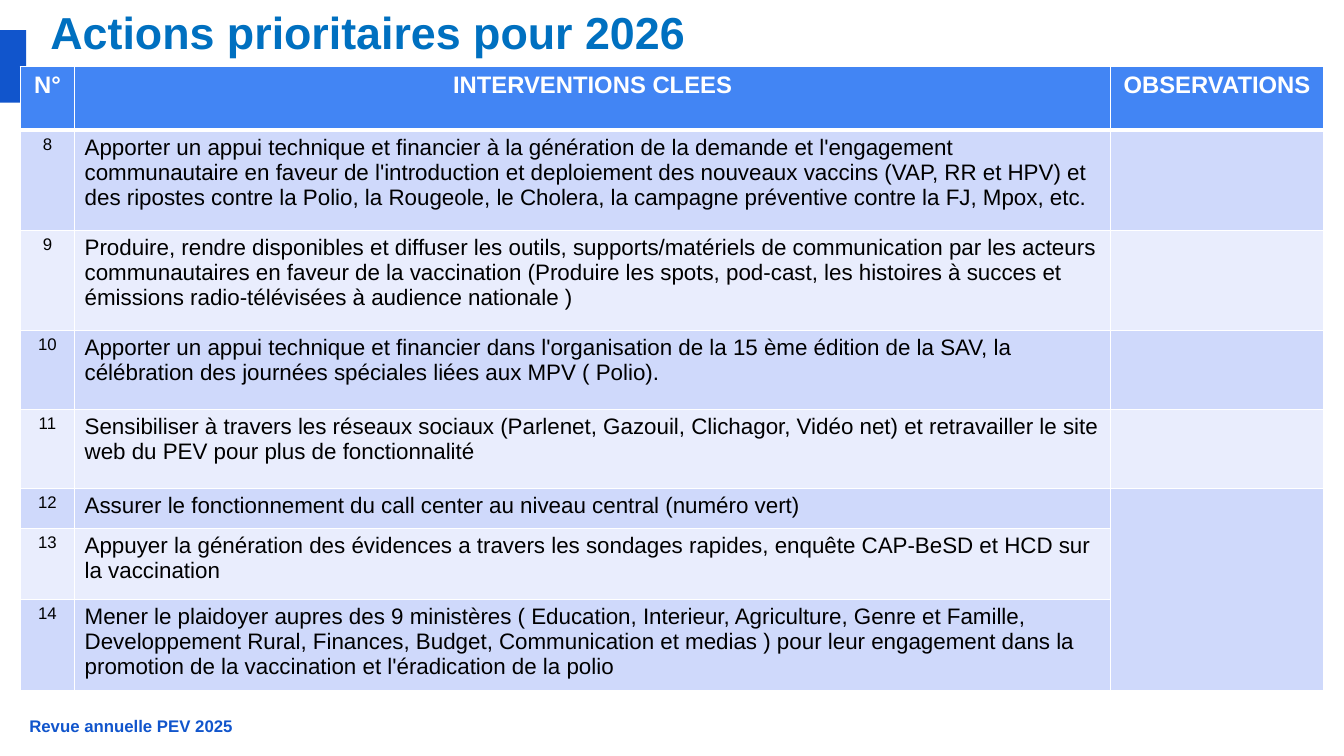
"""Build the slide listing the priority actions for 2026."""
from dataclasses import dataclass

from lxml.etree import SubElement
from pptx import Presentation
from pptx.dml.color import RGBColor
from pptx.enum.shapes import MSO_SHAPE
from pptx.enum.text import MSO_ANCHOR, MSO_AUTO_SIZE, PP_ALIGN
from pptx.oxml.ns import qn
from pptx.util import Cm, Pt


@dataclass(frozen=True)
class Theme:
    font: str = "Arial"
    title: str = "0070C0"
    accent: str = "1155CC"
    header: str = "4285F4"
    bands: tuple = ("CFD9FB", "E9EDFD")
    text: str = "000000"
    white: str = "FFFFFF"
    title_pt: int = 32
    header_pt: int = 17
    body_pt: int = 16
    small_pt: int = 12


theme = Theme()


def write(tf, text, size, color, bold=False, align=PP_ALIGN.LEFT):
    """Put one formatted paragraph into a text frame."""
    tf.word_wrap = True
    p = tf.paragraphs[0]
    p.alignment = align
    r = p.add_run()
    r.text = text
    r.font.name = theme.font
    r.font.size = Pt(size)
    r.font.bold = bold
    r.font.color.rgb = RGBColor.from_string(color)


def style_cell(cell, fill, bottom=1):
    """Give a table cell white borders and a solid fill."""
    cell.fill.solid()
    cell.fill.fore_color.rgb = RGBColor.from_string(fill)
    tc_pr = cell._tc.get_or_add_tcPr()
    widths = {"a:lnL": 1, "a:lnR": 1, "a:lnT": 1, "a:lnB": bottom}
    for i, (tag, width) in enumerate(widths.items()):
        ln = SubElement(tc_pr, qn(tag), w=str(Pt(width)))
        SubElement(SubElement(ln, qn("a:solidFill")), qn("a:srgbClr"), val=theme.white)
        tc_pr.insert(i, ln)


headers = ["N°", "INTERVENTIONS CLEES", "OBSERVATIONS"]
col_widths = [1.37, 26.11, 5.36]
header_height = 1.6
first_number = 8
actions = [
    (2.52, "Apporter un appui technique et financier à la génération de la demande et "
     "l'engagement communautaire en faveur de l'introduction et deploiement des nouveaux "
     "vaccins (VAP, RR et HPV) et des ripostes contre la Polio, la Rougeole, le Cholera, "
     "la campagne préventive contre la FJ, Mpox, etc."),
    (2.52, "Produire, rendre disponibles et diffuser les outils, supports/matériels de "
     "communication par les acteurs communautaires en faveur de la vaccination (Produire "
     "les spots, pod-cast, les histoires à succes et émissions radio-télévisées à audience "
     "nationale )"),
    (1.99, "Apporter un appui technique et financier dans l'organisation de la 15 ème "
     "édition de la SAV, la célébration des journées spéciales liées aux MPV ( Polio)."),
    (1.99, "Sensibiliser à travers les réseaux sociaux (Parlenet, Gazouil, Clichagor, "
     "Vidéo net) et retravailler le site web du PEV pour plus de fonctionnalité"),
    (1.02, "Assurer le fonctionnement du call center au niveau central (numéro vert)"),
    (1.79, "Appuyer la génération des évidences a travers les sondages rapides, enquête "
     "CAP-BeSD et HCD sur la vaccination"),
    (2.28, "Mener le plaidoyer aupres des 9 ministères ( Education, Interieur, Agriculture, "
     "Genre et Famille, Developpement Rural, Finances, Budget, Communication et medias ) "
     "pour leur engagement dans la promotion de la vaccination et l'éradication de la polio"),
]

prs = Presentation()
prs.slide_width, prs.slide_height = Cm(33.87), Cm(19.05)
s = prs.slides.add_slide(prs.slide_layouts[6])

tf = s.shapes.add_textbox(Cm(1.27), Cm(0), Cm(31.32), Cm(2.03)).text_frame
tf.margin_left = tf.margin_right = tf.margin_bottom = 0
tf.margin_top = Cm(0.13)
tf.vertical_anchor = MSO_ANCHOR.TOP
write(tf, "Actions prioritaires pour 2026", theme.title_pt, theme.title, bold=True)

sp = s.shapes.add_shape(MSO_SHAPE.RECTANGLE, Cm(0), Cm(0.76), Cm(0.66), Cm(1.83))
sp.shadow.inherit = False
sp.fill.solid()
sp.fill.fore_color.rgb = RGBColor.from_string(theme.accent)
sp.line.fill.background()

tf = s.shapes.add_textbox(Cm(0.74), Cm(18.03), Cm(31.7), Cm(0.51)).text_frame
tf.margin_left = tf.margin_top = tf.margin_bottom = 0
tf.margin_right = Cm(0.33)
tf.auto_size = MSO_AUTO_SIZE.SHAPE_TO_FIT_TEXT
write(tf, "Revue annuelle PEV 2025", theme.small_pt, theme.accent, bold=True)

heights = [header_height] + [height for height, _ in actions]
table = s.shapes.add_table(len(heights), len(headers), Cm(0.51), Cm(1.68),
                           Cm(sum(col_widths)), Cm(sum(heights))).table
for column, width in zip(table.columns, col_widths):
    column.width = Cm(width)
for row, height in zip(table.rows, heights):
    row.height = Cm(height)

for col, label in enumerate(headers):
    cell = table.cell(0, col)
    style_cell(cell, theme.header, bottom=3)
    write(cell.text_frame, label, theme.header_pt, theme.white, bold=True,
          align=PP_ALIGN.CENTER)

for i, (_, action) in enumerate(actions):
    cells = table.rows[i + 1].cells
    for cell in cells:
        style_cell(cell, theme.bands[i % 2])
    write(cells[0].text_frame, str(first_number + i), theme.small_pt, theme.text,
          align=PP_ALIGN.CENTER)
    write(cells[1].text_frame, action, theme.body_pt, theme.text)

table.cell(5, 2).merge(table.cell(7, 2))

prs.save("out.pptx")
